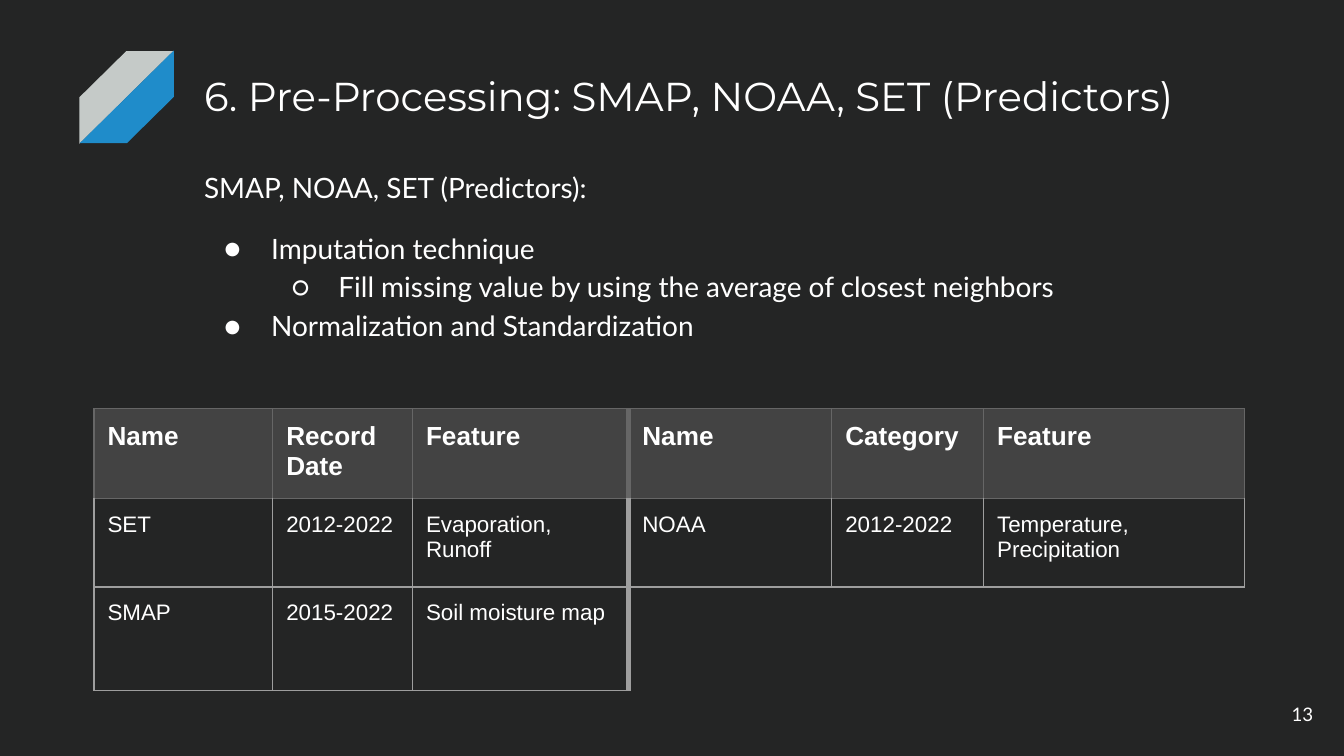
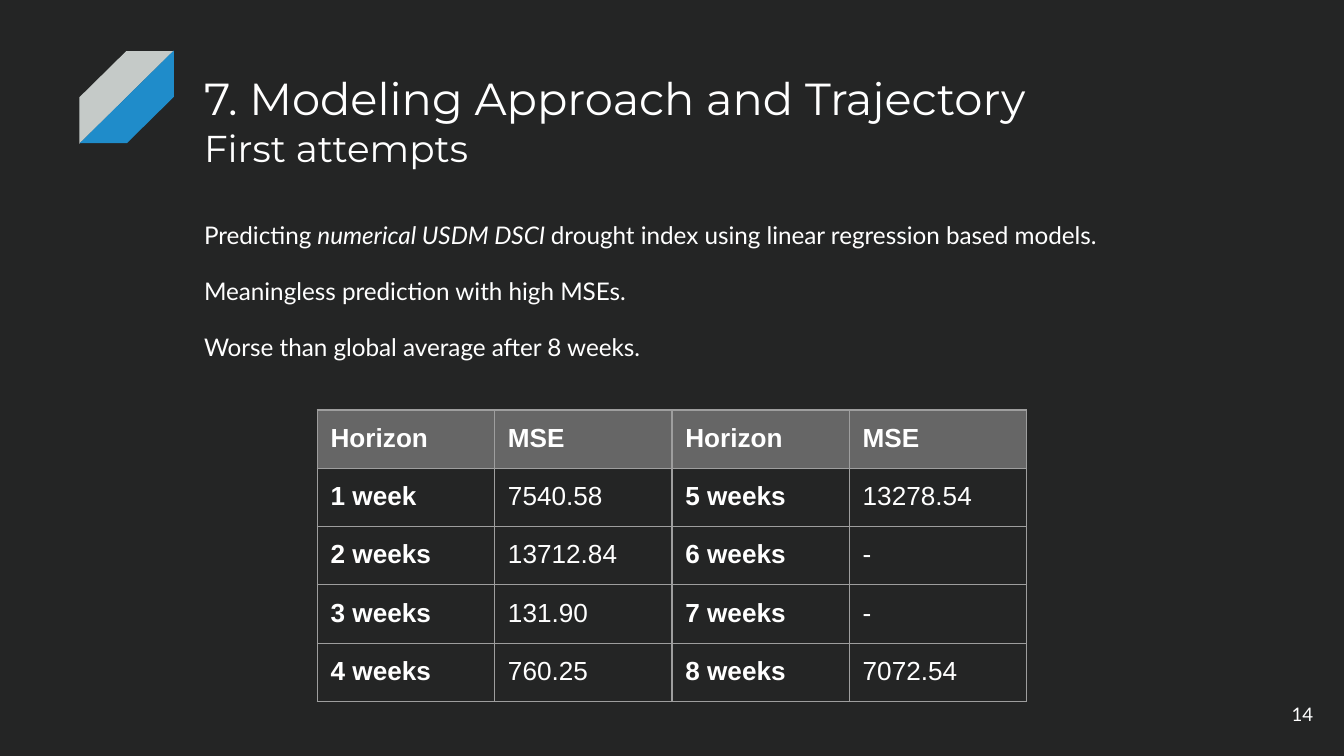
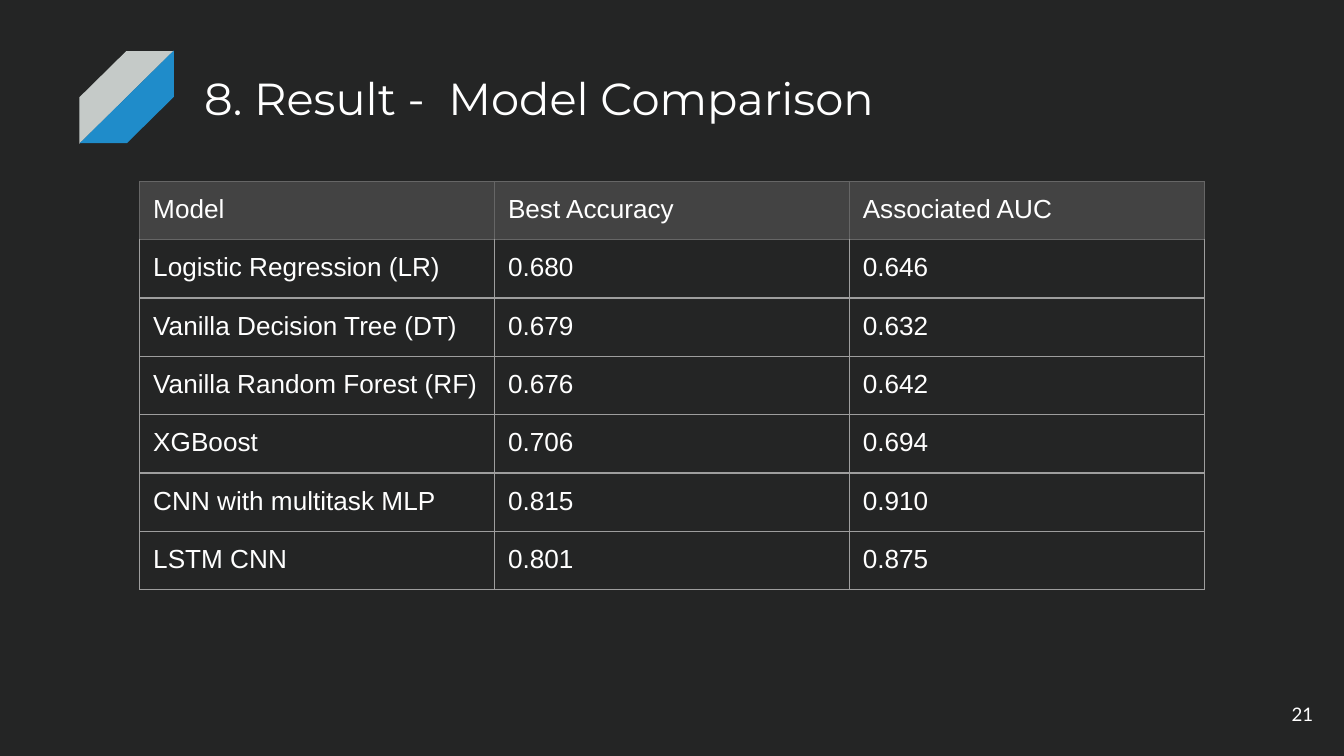
from itertools import chain

from lxml import etree
from pptx import Presentation
from pptx.dml.color import RGBColor
from pptx.enum.shapes import MSO_SHAPE
from pptx.enum.text import MSO_ANCHOR, PP_ALIGN
from pptx.oxml.ns import qn
from pptx.util import Inches, Pt

DARK, WHITE, SILVER, BLUE = "242525", "FFFFFF", "C5CAC8", "1F8CCA"
CHARCOAL, GREY, LIGHT_GREY = "434343", "666666", "9E9E9E"
NO_TABLE_STYLE = "{2D5ABB26-0587-4C30-8999-92F81FD0307C}"
BULLETS = {1: "●", 2: "○"}


def rgb(color):
    return RGBColor.from_string(color)


def add_text(s, box, paragraphs, font, sizes):
    """Each paragraph is a list of parts; every second part is italic."""
    tf = s.shapes.add_textbox(*[Inches(v) for v in box]).text_frame
    tf.word_wrap = True
    tf.margin_left = tf.margin_right = tf.margin_top = tf.margin_bottom = Inches(0.1)
    for i, (parts, size) in enumerate(zip(paragraphs, sizes)):
        p = tf.paragraphs[0] if i == 0 else tf.add_paragraph()
        for j, part in enumerate(parts):
            r = p.add_run()
            r.text = part
            r.font.name, r.font.size = font, Pt(size)
            r.font.color.rgb = rgb(WHITE)
            r.font.italic = j % 2 == 1
    return tf


# Slide content; a body paragraph is (bullet level, space before, parts)
slides = [
    {
        "number": "13",
        "title": ["6. Pre-Processing: SMAP, NOAA, SET (Predictors)"],
        "title_sizes": [21.6],
        "body_box": (1.42, 1.13, 7.7, 1.61),
        "body_size": 15,
        "body": [
            (0, 0, ["SMAP, NOAA, SET (Predictors):"]),
            (1, 12, ["Imputation technique"]),
            (2, 0, ["Fill missing value by using the average of closest neighbors"]),
            (1, 0, ["Normalization and Standardization"]),
        ],
        "table_at": (0.7, 3.04),
        "cols": [1.33, 1.04, 1.61, 1.51, 1.13, 1.94],
        "row_heights": [0.55, 0.66, 0.77],
        "head_fill": CHARCOAL, "head_line": GREY,
        "text_size": 12, "bold_head": True, "bold_cols": [], "divider": 3,
        "rows": [
            ["Name", "Record Date", "Feature", "Name", "Category", "Feature"],
            ["SET", "2012-2022", "Evaporation, Runoff",
             "NOAA", "2012-2022", "Temperature, Precipitation"],
            ["SMAP", "2015-2022", "Soil moisture map", "", "", ""],
        ],
    },
    {
        "number": "14",
        "title": ["7. Modeling Approach and Trajectory", "First attempts"],
        "title_sizes": [24, 20],
        "body_box": (1.42, 1.51, 7.7, 1.31),
        "body_size": 13,
        "body": [
            (0, 0, ["Predicting ", "numerical USDM DSCI ",
                    "drought index using linear regression based models."]),
            (0, 12, ["Meaningless prediction with high MSEs."]),
            (0, 12, ["Worse than global average after 8 weeks."]),
        ],
        "table_at": (2.36, 3.05),
        "cols": [1.32] * 4,
        "row_heights": [0.42] * 5,
        "head_fill": GREY, "head_line": LIGHT_GREY,
        "text_size": 14, "bold_head": True, "bold_cols": [0, 2], "divider": None,
        "rows": [
            ["Horizon", "MSE", "Horizon", "MSE"],
            ["1 week", "7540.58", "5 weeks", "13278.54"],
            ["2 weeks", "13712.84", "6 weeks", "-"],
            ["3 weeks", "131.90", "7 weeks", "-"],
            ["4 weeks", "760.25", "8 weeks", "7072.54"],
        ],
    },
    {
        "number": "21",
        "title": ["8. Result -  Model Comparison"],
        "title_sizes": [24],
        "body": [],
        "table_at": (1.04, 1.35),
        "cols": [2.64] * 3,
        "row_heights": [0.42] * 7,
        "head_fill": CHARCOAL, "head_line": GREY,
        "text_size": 14, "bold_head": False, "bold_cols": [], "divider": None,
        "rows": [
            ["Model", "Best Accuracy", "Associated AUC"],
            ["Logistic Regression (LR)", "0.680", "0.646"],
            ["Vanilla Decision Tree (DT)", "0.679", "0.632"],
            ["Vanilla Random Forest (RF)", "0.676", "0.642"],
            ["XGBoost", "0.706", "0.694"],
            ["CNN with multitask MLP", "0.815", "0.910"],
            ["LSTM CNN", "0.801", "0.875"],
        ],
    },
]

prs = Presentation()
prs.slide_width = Inches(10)
prs.slide_height = prs.slide_width * 9 // 16

# Default font, which also governs table row heights
for latin in chain(prs.element.iter(qn("a:latin")),
                   prs.slide_master.element.iter(qn("a:latin"))):
    latin.set("typeface", "Arial")

for data in slides:
    s = prs.slides.add_slide(prs.slide_layouts[6])
    s.background.fill.solid()
    s.background.fill.fore_color.rgb = rgb(DARK)

    # Two-tone stripe emblem
    for box, color, rotation in [((0.59, 0.38, 0.7, 0.69), SILVER, 0),
                                 ((0.6, 0.37, 0.69, 0.7), BLUE, 90)]:
        sp = s.shapes.add_shape(MSO_SHAPE.DIAGONAL_STRIPE, *[Inches(v) for v in box])
        sp.adjustments[0] = 0.5
        sp.shadow.inherit = False
        sp.fill.solid()
        sp.fill.fore_color.rgb = rgb(color)
        sp.line.fill.background()
        if rotation:
            sp.rotation = rotation
            sp.element.spPr.find(qn("a:xfrm")).set("flipH", "1")

    # Title and slide number
    add_text(s, (1.42, 0.43, 7.7, 1), [[line] for line in data["title"]],
             "Montserrat", data["title_sizes"])
    tf = add_text(s, (9.27, 5.1, 0.6, 0.43), [[data["number"]]], "Lato", [10])
    tf.vertical_anchor = MSO_ANCHOR.MIDDLE
    tf.paragraphs[0].alignment = PP_ALIGN.RIGHT

    # Body text
    if data["body"]:
        body = data["body"]
        tf = add_text(s, data["body_box"], [parts for _, _, parts in body],
                      "Lato", [data["body_size"]] * len(body))
        for p, (level, before, _) in zip(tf.paragraphs, body):
            if level:
                p.level = level - 1
                pPr = p._p.get_or_add_pPr()
                pPr.set("marL", str(Inches(0.5 * level)))
                pPr.set("indent", str(Inches(-0.35)))
                bu_clr = etree.SubElement(pPr, qn("a:buClr"))
                etree.SubElement(bu_clr, qn("a:srgbClr"), val=WHITE)
                etree.SubElement(pPr, qn("a:buSzPts"), val=str(data["body_size"] * 100))
                etree.SubElement(pPr, qn("a:buFont"), typeface="Lato")
                etree.SubElement(pPr, qn("a:buChar"), char=BULLETS[level])
            p.line_spacing = 1.15
            if before:
                p.space_before = Pt(before)

    # Table
    rows, cols, heights = data["rows"], data["cols"], data["row_heights"]
    left, top = data["table_at"]
    table = s.shapes.add_table(len(rows), len(cols), Inches(left), Inches(top),
                               Inches(sum(cols)), Inches(sum(heights))).table
    table.first_row = table.horz_banding = False
    table._tbl.tblPr.find(qn("a:tableStyleId")).text = NO_TABLE_STYLE
    for i, width in enumerate(cols):
        table.columns[i].width = Inches(width)
    for i, height in enumerate(heights):
        table.rows[i].height = Inches(height)

    for i, row in enumerate(rows):
        for j, text in enumerate(row):
            cell = table.cell(i, j)
            cell.margin_left = cell.margin_right = Inches(0.1)
            cell.margin_top = cell.margin_bottom = Inches(0.1)

            # Borders: heavy at the divider, empty cells only close their neighbours
            tcPr = cell._tc.get_or_add_tcPr()
            line = data["head_line"] if i == 0 else LIGHT_GREY
            top_line = data["head_line"] if i <= 1 else LIGHT_GREY
            left_width = 3 if j == data["divider"] else 0.75
            right_width = 3 if j + 1 == data["divider"] else 0.75
            for tag, color, width, shown in [
                ("a:lnL", line, left_width, text or j == data["divider"]),
                ("a:lnR", line, right_width, text),
                ("a:lnT", top_line, 0.75, True),
                ("a:lnB", line, 0.75, text),
            ]:
                ln = etree.SubElement(tcPr, qn(tag), w=str(Pt(width)))
                if shown:
                    fill = etree.SubElement(ln, qn("a:solidFill"))
                    etree.SubElement(fill, qn("a:srgbClr"), val=color)
                else:
                    etree.SubElement(ln, qn("a:noFill"))

            if i == 0:
                cell.fill.solid()
                cell.fill.fore_color.rgb = rgb(data["head_fill"])
            else:
                cell.fill.background()

            if text:
                p = cell.text_frame.paragraphs[0]
                p.text = text
                r = p.runs[0]
                r.font.name = "Arial"
                r.font.size = Pt(14 if i == 0 else data["text_size"])
                r.font.bold = data["bold_head"] if i == 0 else j in data["bold_cols"]
                r.font.color.rgb = rgb(WHITE)

prs.save("out.pptx")
